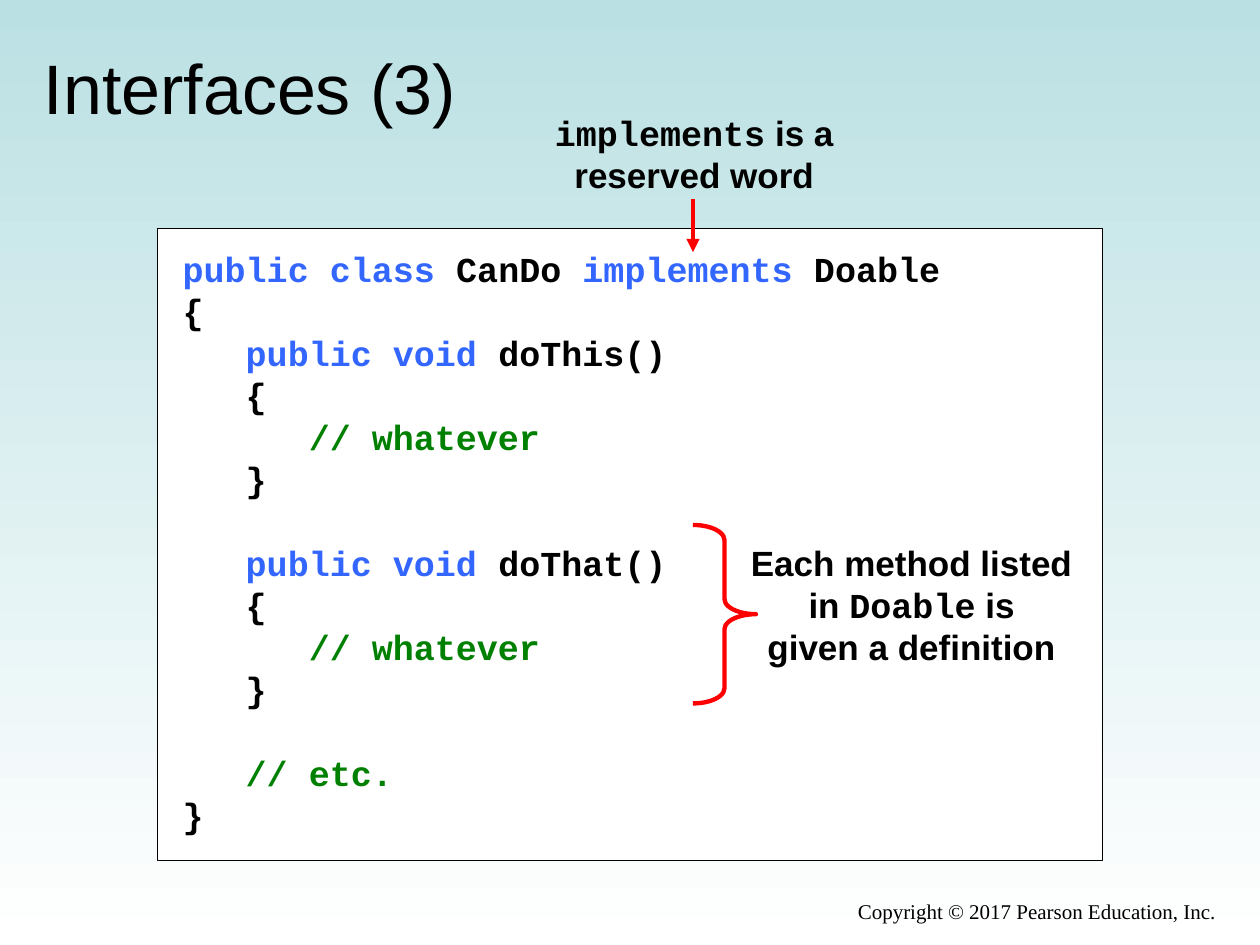
from lxml import etree
from pptx import Presentation
from pptx import util as u
from pptx.dml.color import RGBColor
from pptx.enum import shapes, text
from pptx.oxml.ns import qn

BLACK = RGBColor(0x00, 0x00, 0x00)
WHITE = RGBColor(0xFF, 0xFF, 0xFF)
BLUE = RGBColor(0x33, 0x66, 0xFF)
GREEN = RGBColor(0x00, 0x80, 0x00)
RED = RGBColor(0xFF, 0x00, 0x00)
PALE_TEAL = RGBColor(0xBB, 0xE0, 0xE3)
SANS, MONO, SERIF = "Arial", "Courier New", "Times New Roman"


def add_text_box(left, top, width, height, anchor, wrap):
    box = slide.shapes.add_textbox(u.Pt(left), u.Pt(top), u.Pt(width), u.Pt(height))
    box.text_frame.word_wrap = wrap
    box.text_frame.vertical_anchor = anchor
    return box.text_frame


def write_lines(frame, lines, size, bold, alignment):
    for index, line in enumerate(lines):
        paragraph = frame.add_paragraph() if index else frame.paragraphs[0]
        paragraph.alignment = alignment
        for words, font_name, color in line:
            run = paragraph.add_run()
            run.text = words
            run.font.name = font_name
            run.font.size = u.Pt(size)
            run.font.bold = bold
            run.font.color.rgb = color
        if not line:
            end = etree.SubElement(paragraph._p, qn("a:endParaRPr"), sz=str(size * 100), b="1")
            etree.SubElement(end, qn("a:latin"), typeface=MONO)


presentation = Presentation()
presentation.slide_width = u.Pt(720)
presentation.slide_height = u.Pt(540)
slide = presentation.slides.add_slide(presentation.slide_layouts[6])

background = slide.background.fill
background.gradient()
background.gradient_angle = 270
for stop, color in zip(background.gradient_stops, (PALE_TEAL, WHITE)):
    stop.color.rgb = color

title = add_text_box(18, 21.6, 684, 56.16, text.MSO_ANCHOR.MIDDLE, True)
write_lines(title, [[("Interfaces (3)", SANS, BLACK)]], 40, False, text.PP_ALIGN.LEFT)

copyright_line = add_text_box(264.24, 509.76, 437.76, 24.48, text.MSO_ANCHOR.TOP, True)
write_lines(copyright_line, [[("Copyright © 2017 Pearson Education, Inc.", SERIF, BLACK)]],
            12, False, text.PP_ALIGN.RIGHT)

code_box = slide.shapes.add_shape(shapes.MSO_SHAPE.RECTANGLE,
                                  u.Pt(90), u.Pt(130.5), u.Pt(540), u.Pt(361.2))
code_box.shadow.inherit = False
code_box.fill.solid()
code_box.fill.fore_color.rgb = WHITE
code_box.line.color.rgb = BLACK
code_box.line.width = u.Pt(0.75)
code = code_box.text_frame
code.word_wrap = True
code.vertical_anchor = text.MSO_ANCHOR.TOP
code.margin_left = code.margin_right = u.Pt(14.4)
code.margin_top = code.margin_bottom = u.Pt(10.8)

code_lines = [
    [("public class ", MONO, BLUE), ("CanDo ", MONO, BLACK),
     ("implements ", MONO, BLUE), ("Doable", MONO, BLACK)],
    [("{", MONO, BLACK)],
]
for method in ("doThis()", "doThat()"):
    code_lines += [
        [("   public void ", MONO, BLUE), (method, MONO, BLACK)],
        [("   {", MONO, BLACK)],
        [("      // whatever", MONO, GREEN)],
        [("   }", MONO, BLACK)],
        [],
    ]
code_lines += [[("   // etc.", MONO, GREEN)], [("}", MONO, BLACK)]]
write_lines(code, code_lines, 20, True, text.PP_ALIGN.LEFT)

keyword_note = add_text_box(306, 59.76, 181.44, 55.44, text.MSO_ANCHOR.MIDDLE, False)
write_lines(keyword_note, [
    [("implements", MONO, BLACK), (" is a", SANS, BLACK)],
    [("reserved word", SANS, BLACK)],
], 20, True, text.PP_ALIGN.CENTER)

arrow = slide.shapes.add_connector(shapes.MSO_CONNECTOR.STRAIGHT,
                                   u.Pt(396), u.Pt(114), u.Pt(396), u.Pt(144))
arrow.line.color.rgb = RED
arrow.line.width = u.Pt(2.5)
etree.SubElement(arrow.line._get_or_add_ln(), qn("a:tailEnd"), type="triangle")
etree.SubElement(arrow._element.spPr, qn("a:effectLst"))

method_note = add_text_box(421.92, 306, 198, 79.2, text.MSO_ANCHOR.MIDDLE, False)
write_lines(method_note, [
    [("Each method listed", SANS, BLACK)],
    [("in ", SANS, BLACK), ("Doable", MONO, BLACK), (" is", SANS, BLACK)],
    [("given a definition", SANS, BLACK)],
], 20, True, text.PP_ALIGN.CENTER)

brace = slide.shapes.add_shape(shapes.MSO_SHAPE.RIGHT_BRACE,
                               u.Pt(396), u.Pt(300), u.Pt(36), u.Pt(102))
brace.shadow.inherit = False
brace.fill.background()
brace.line.color.rgb = RED
brace.line.width = u.Pt(2.5)
brace.adjustments[0] = 0.24
brace.adjustments[1] = 0.5

presentation.save("out.pptx")
